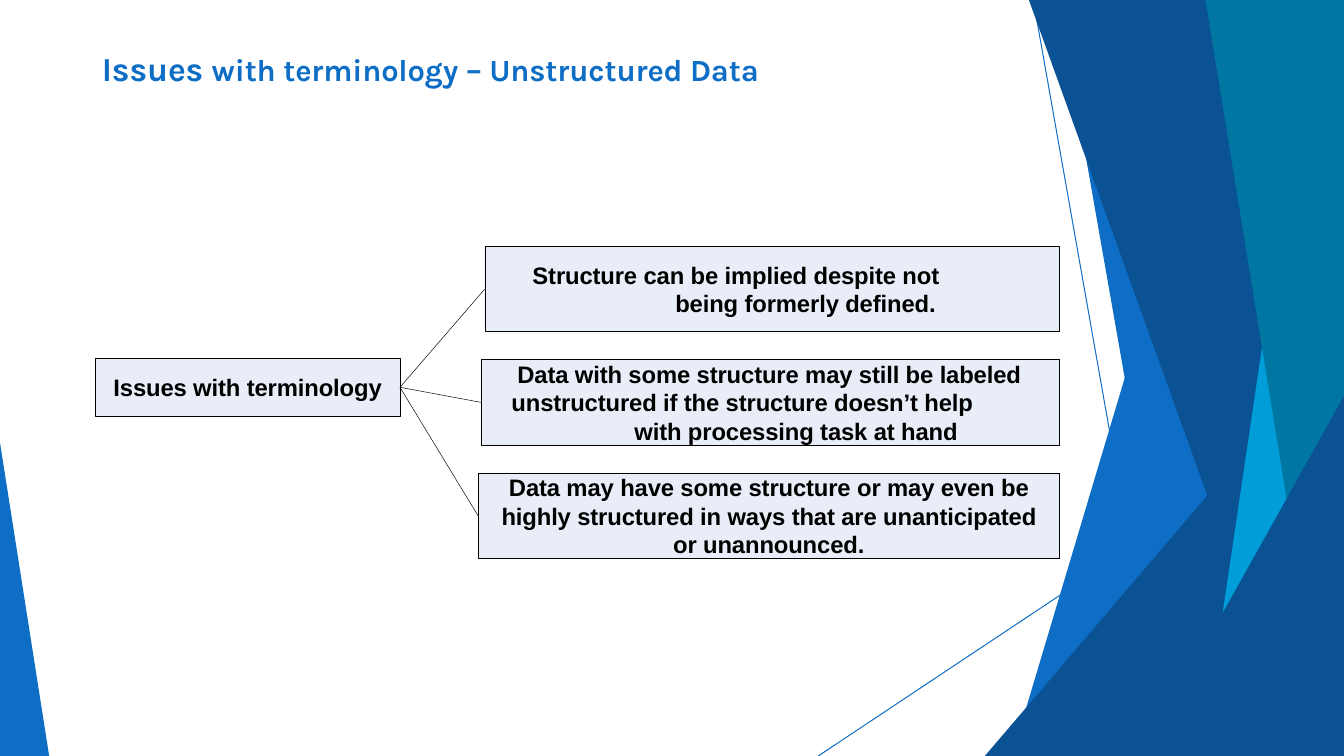
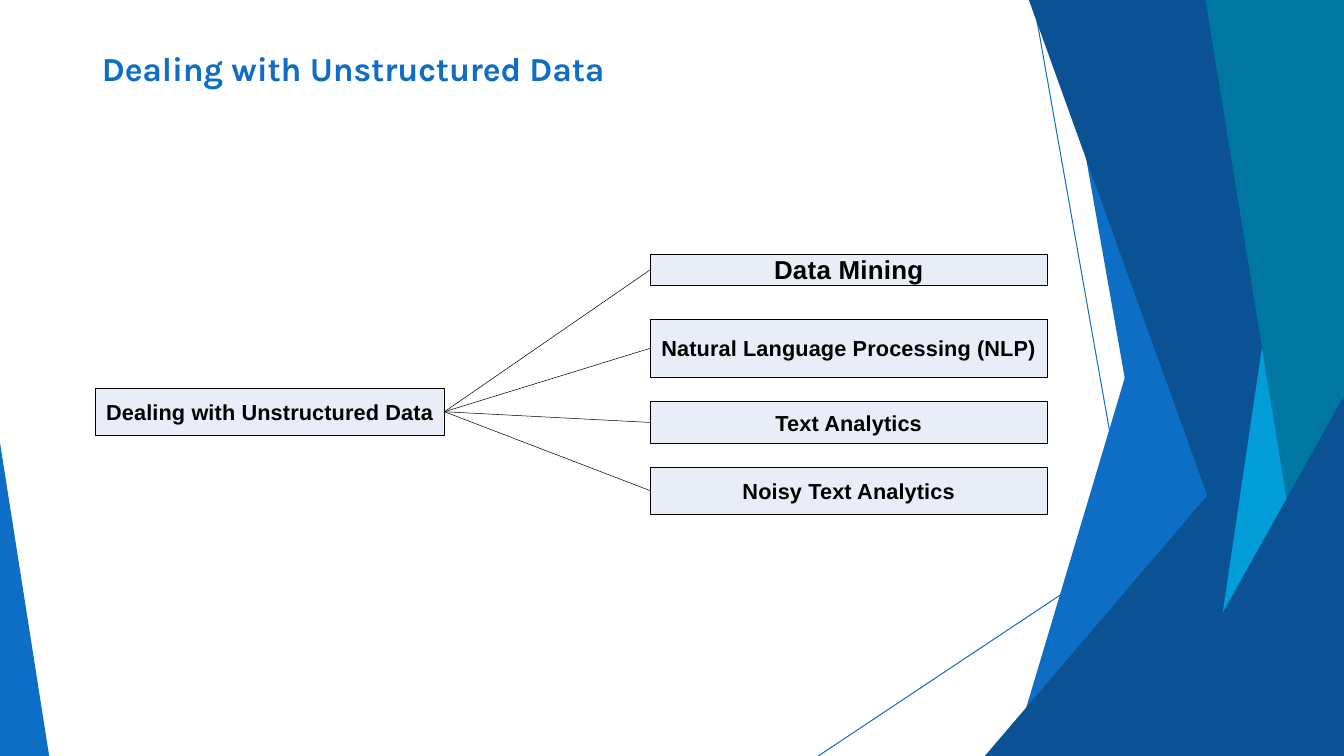
from dataclasses import dataclass

from lxml.etree import SubElement
from pptx import Presentation
from pptx.dml.color import RGBColor
from pptx.enum.shapes import MSO_CONNECTOR as Link, MSO_SHAPE as Shape
from pptx.enum.text import MSO_ANCHOR as Anchor, PP_ALIGN as Align
from pptx.oxml.ns import qn
from pptx.util import Cm, Pt

# Shared look
BLUE = RGBColor(0x0E, 0x6E, 0xC5)
NAVY = RGBColor(0x0A, 0x52, 0x94)
SKY = RGBColor(0x00, 0x9D, 0xD9)
TEAL = RGBColor(0x00, 0x76, 0xA2)
PALE = RGBColor(0xE8, 0xED, 0xF7)
BLACK = RGBColor(0, 0, 0)
WIDTH, HEIGHT = 33.87, 19.05

# Slanted panels: colour, upper end of the slant (x, y), its x at the bottom, outer side
PANELS = [
    (BLUE, 31.19, 0, 25.5, WIDTH),
    (BLUE, 26.67, 0, 30.02, WIDTH),
    (NAVY, WIDTH, 8.46, 24.82, WIDTH),
    (NAVY, 25.93, 0, 32.79, WIDTH),
    (SKY, 33.1, 0, 30.28, WIDTH),
    (TEAL, 30.38, 0, 33.48, WIDTH),
    (NAVY, WIDTH, 9.98, 28.8, WIDTH),
    (BLUE, 0, 11.15, 1.24, 0),
]


@dataclass
class Para:
    text: str
    align: Align = Align.CENTER
    left: float = 0
    first: float = 0
    right: float = 0


@dataclass
class Style:
    size: float
    space: int  # letter spacing, hundredths of a point
    line: float  # border and connector width


def style_run(run, font, size, color, space):
    run.font.name = font
    run.font.size = Pt(size)
    run.font.bold = True
    run.font.color.rgb = color
    run._r.get_or_add_rPr().set("spc", str(space))


def clear_frame(frame):
    frame.margin_left = frame.margin_right = 0
    frame.margin_top = frame.margin_bottom = 0
    frame.word_wrap = True


def add_line(slide, x1, y1, x2, y2, color, width):
    line = slide.shapes.add_connector(Link.STRAIGHT, Cm(x1), Cm(y1), Cm(x2), Cm(y2))
    line.line.color.rgb = color
    line.line.width = Pt(width)
    SubElement(line._element.spPr, qn("a:effectLst"))
    return line


def add_panel(slide, color, x, y, foot, side):
    edge = [(foot, HEIGHT), (side, HEIGHT), (side, y)]
    form = slide.shapes.build_freeform(Cm(x), Cm(y))
    form.add_line_segments([(Cm(a), Cm(b)) for a, b in edge], close=True)
    panel = form.convert_to_shape()
    panel.shadow.inherit = False
    panel.fill.solid()
    panel.fill.fore_color.rgb = color
    panel.line.fill.background()


def add_title(slide, parts):
    box = slide.shapes.add_textbox(Cm(2.57), Cm(1.22), Cm(30), Cm(1.04))
    clear_frame(box.text_frame)
    para = box.text_frame.paragraphs[0]
    for text, size in parts:
        run = para.add_run()
        run.text = text
        style_run(run, "Karla", size, BLUE, -10)


def new_slide(deck, *title):
    slide = deck.slides.add_slide(deck.slide_layouts[6])
    add_line(slide, 26.04, 0, 29.41, HEIGHT, BLUE, 0.72)
    add_line(slide, WIDTH, 10.24, 20.62, HEIGHT, BLUE, 0.72)
    for panel in PANELS:
        add_panel(slide, *panel)
    add_title(slide, title)
    return slide


def add_box(slide, x, y, wide, high, paras, style):
    box = slide.shapes.add_shape(Shape.RECTANGLE, Cm(x), Cm(y), Cm(wide), Cm(high))
    box.shadow.inherit = False
    box.fill.solid()
    box.fill.fore_color.rgb = PALE
    box.line.color.rgb = BLACK
    box.line.width = Pt(style.line)
    frame = box.text_frame
    clear_frame(frame)
    frame.vertical_anchor = Anchor.MIDDLE
    frame.text = "\n".join(item.text for item in paras)
    for para, item in zip(frame.paragraphs, paras):
        para.alignment = item.align
        if len(paras) > 1 or item.left:
            para.line_spacing = Pt(20.3)
        props = para._p.get_or_add_pPr()
        props.set("marL", str(Cm(item.left)))
        props.set("marR", str(Cm(item.right)))
        props.set("indent", str(Cm(item.first)))
        style_run(para.runs[0], "Arial", style.size, BLACK, style.space)
    return box


def join(slide, root, leaves, width):
    for leaf in leaves:
        line = add_line(slide, 0, 0, 1, 1, BLACK, width)
        line.begin_connect(root, 3)
        line.end_connect(leaf, 1)


def add_issues(deck):
    slide = new_slide(deck, ("Issues ", 24), ("with terminology – Unstructured Data", 22))
    style = Style(17, -10, 0.34)
    root = add_box(slide, 2.4, 9.04, 7.68, 1.44, [Para("Issues with terminology")], style)
    rows = [
        (12.22, [Para("Structure can be implied despite not being formerly defined.",
                      Align.LEFT, 4.8, -3.6, 2)]),
        (12.13, [Para("Data with some structure may still be labeled", Align.LEFT, 0.91),
                 Para("unstructured if the structure doesn’t help with processing task at hand",
                      Align.LEFT, 3.86, -3.1, 1.5)]),
        (12.05, [Para("Data may have some structure or may even be"),
                 Para("highly structured in ways that are unanticipated or unannounced.",
                      left=0.45, right=0.45)]),
    ]
    leaves = [add_box(slide, x, 6.2 + 2.86 * i, 26.7 - x, 2.16, paras, style)
              for i, (x, paras) in enumerate(rows)]
    join(slide, root, leaves, style.line)


def add_methods(deck):
    slide = new_slide(deck, ("Dealing with Unstructured Data", 24))
    style = Style(15.5, 10, 0.38)
    large = Style(18.5, 20, 0.38)
    root = add_box(slide, 2.4, 9.78, 8.8, 1.19, [Para("Dealing with Unstructured Data")], style)
    rows = [
        (6.4, 0.79, "Data Mining", large),
        (8.05, 1.45, "Natural Language Processing (NLP)", style),
        (10.11, 1.07, "Text Analytics", style),
        (11.77, 1.19, "Noisy Text Analytics", style),
    ]
    leaves = [add_box(slide, 16.39, y, 10, high, [Para(text)], look)
              for y, high, text, look in rows]
    join(slide, root, leaves, style.line)


def main():
    deck = Presentation()
    deck.slide_width, deck.slide_height = Cm(WIDTH), Cm(HEIGHT)
    add_issues(deck)
    add_methods(deck)
    deck.save("out.pptx")


if __name__ == "__main__":
    main()
